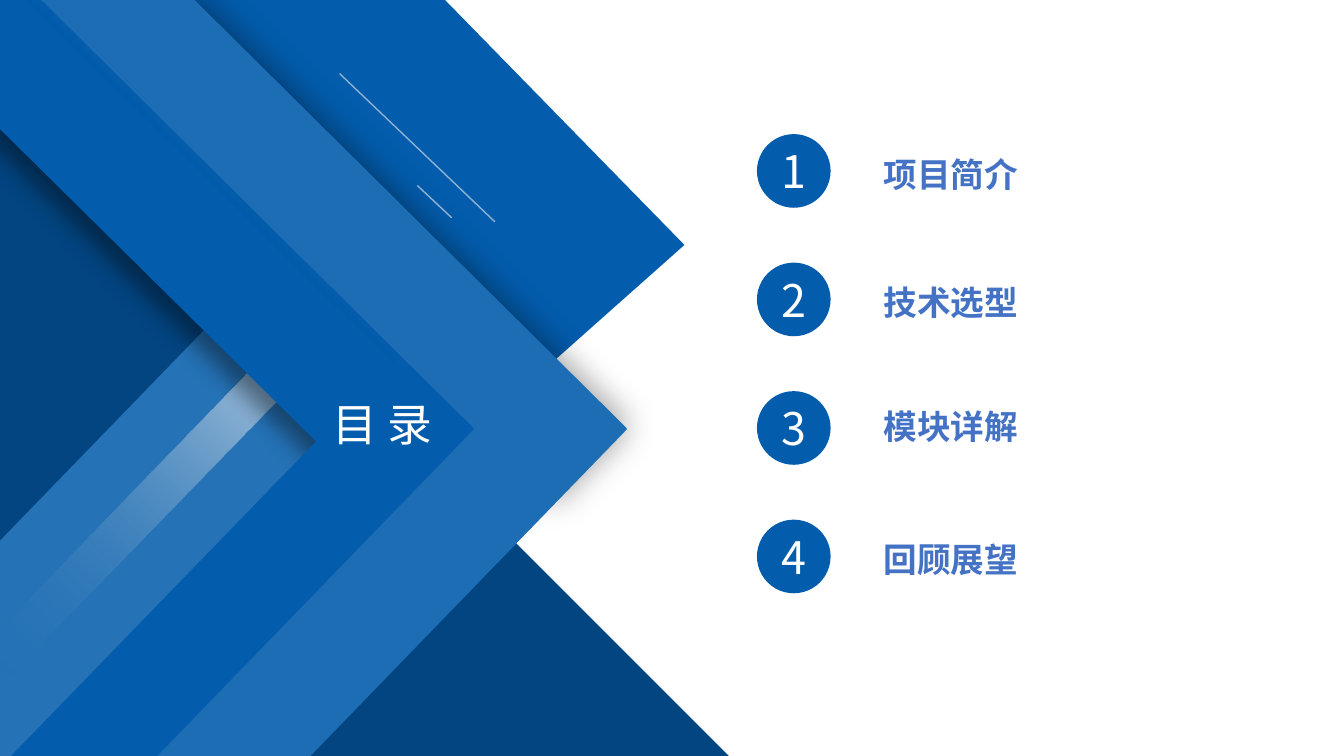
from dataclasses import dataclass
from typing import NamedTuple, Optional

from lxml.etree import SubElement
from pptx import Presentation
from pptx.dml.color import RGBColor
from pptx.enum.shapes import MSO_CONNECTOR, MSO_SHAPE
from pptx.enum.text import MSO_ANCHOR, MSO_AUTO_SIZE, PP_ALIGN
from pptx.oxml.ns import qn
from pptx.shapes.autoshape import Shape
from pptx.slide import Slide
from pptx.text.text import TextFrame
from pptx.util import Pt


@dataclass(frozen=True)
class Theme:
    font: str = "Noto Sans CJK SC"
    navy: str = "034581"
    blue: str = "035CAC"
    mid_blue: str = "1D6DB4"
    soft_blue: str = "2572B6"
    pale_blue: str = "8EB3D3"
    label: str = "4472C4"
    white: str = "FFFFFF"
    shadow: str = "000000"
    large: float = 32
    medium: float = 24


THEME = Theme()


class Shadow(NamedTuple):
    blur: float
    distance: float
    angle: float


class Triangle(NamedTuple):
    left: float
    top: float
    rotation: float = 0


class Band(NamedTuple):
    corners: list[tuple[float, float]]
    color: str
    shadow: Optional[Shadow] = None


class Line(NamedTuple):
    start: tuple[float, float]
    end: tuple[float, float]


class Entry(NamedTuple):
    label: str
    label_top: float


TRIANGLE_WIDTH, TRIANGLE_HEIGHT = 453.6, 226.8
LOWER_TRIANGLE = Triangle(67, 313.2)
LEFT_TRIANGLE = Triangle(-142.6, 159.1, 90)
UPPER_BAND = Band([(75.6, -1.4), (270, -49), (488.9, 175), (365, 285.1)], THEME.blue)
SOFT_BAND = Band([(168.5, 212.4), (251.3, 292.3), (-13, 565.2), (-146.2, 537.1)], THEME.soft_blue)
GLOW_BAND = Band([(223.2, 218.2), (244.8, 238.3), (-20.2, 511.2), (-91.4, 542.9)], THEME.pale_blue)
CHEVRON_BANDS = [
    Band([(28.1, 0), (139, 0), (447.8, 306), (393.1, 361.4)], THEME.mid_blue, Shadow(25, 2, 315)),
    Band([(391, 252), (447.8, 306.7), (221.8, 540), (111.6, 540)], THEME.mid_blue),
    Band([(-82.1, 0), (29.5, 0), (338.4, 306), (283, 361.4)], THEME.blue),
    Band([(-122.4, -28.8), (-10.8, -28.8), (298.1, 276.5), (242.6, 331.9)], THEME.blue,
         Shadow(16, 12, 124)),
    Band([(284.4, 254.9), (338.4, 306.7), (112.3, 540), (7.9, 540)], THEME.blue),
]
ACCENT_LINES = [Line((298.1, 132.5), (322.6, 155.5)), Line((242.6, 52.6), (353.5, 158.4))]
ENTRIES = [Entry("项目简介", 106.6), Entry("技术选型", 198), Entry("模块详解", 286.6), Entry("回顾展望", 381.6)]
BADGE_LEFT, BADGE_TOP, BADGE_SIZE, BADGE_STEP = 540.7, 95.8, 52.6, 91.8
LABEL_LEFT, LABEL_WIDTH, LABEL_HEIGHT = 624.2, 228.2, 36


def write_text(frame: TextFrame, text: str, *, size: float, color: str, bold: bool = False,
               align: PP_ALIGN = PP_ALIGN.LEFT, anchor: MSO_ANCHOR = MSO_ANCHOR.TOP,
               wrap: bool = False) -> None:
    frame.word_wrap = wrap
    frame.auto_size = MSO_AUTO_SIZE.NONE
    frame.vertical_anchor = anchor
    paragraph = frame.paragraphs[0]
    paragraph.alignment = align
    paragraph.line_spacing = 1.0
    run = paragraph.add_run()
    run.text = text
    run.font.size = Pt(size)
    run.font.bold = bold
    run.font.name = THEME.font
    run.font.color.rgb = RGBColor.from_string(color)
    SubElement(run.font._element, qn("a:ea"), typeface=THEME.font)


def paint(shape: Shape, color: str) -> None:
    """Give a shape a plain fill without outline or shadow."""
    shape.fill.solid()
    shape.fill.fore_color.rgb = RGBColor.from_string(color)
    shape.line.fill.background()
    shape.shadow.inherit = False


def add_alpha(color_element, percent: float) -> None:
    SubElement(color_element, qn("a:alpha"), val=str(percent * 1000))


def cast_shadow(shape: Shape, shadow: Shadow) -> None:
    effects = shape.element.spPr.find(qn("a:effectLst"))
    outer = SubElement(effects, qn("a:outerShdw"), blurRad=str(Pt(shadow.blur)),
                       dist=str(Pt(shadow.distance)), dir=str(shadow.angle * 60000),
                       algn="ctr", rotWithShape="0")
    add_alpha(SubElement(outer, qn("a:srgbClr"), val=THEME.shadow), 40)


def add_triangle(slide: Slide, triangle: Triangle) -> None:
    shape = slide.shapes.add_shape(MSO_SHAPE.ISOSCELES_TRIANGLE, Pt(triangle.left), Pt(triangle.top),
                                   Pt(TRIANGLE_WIDTH), Pt(TRIANGLE_HEIGHT))
    shape.rotation = triangle.rotation
    paint(shape, THEME.navy)


def add_band(slide: Slide, band: Band) -> Shape:
    first, *others = [(Pt(x), Pt(y)) for x, y in band.corners]
    builder = slide.shapes.build_freeform(*first)
    builder.add_line_segments(others, close=True)
    shape = builder.convert_to_shape()
    paint(shape, band.color)
    if band.shadow:
        cast_shadow(shape, band.shadow)
    return shape


def fade_band(shape: Shape) -> None:
    """Let a band brighten from clear at lower left to pale at upper right."""
    shape.fill.gradient()
    shape.fill.gradient_angle = 45
    stops = [(0.23, THEME.soft_blue, 0), (0.77, THEME.pale_blue, 90)]
    for stop, (position, color, _) in zip(shape.fill.gradient_stops, stops):
        stop.position = position
        stop.color.rgb = RGBColor.from_string(color)
    for color_element, (_, _, opacity) in zip(shape.element.spPr.iter(qn("a:srgbClr")), stops):
        add_alpha(color_element, opacity)


def add_accent_line(slide: Slide, line: Line) -> None:
    connector = slide.shapes.add_connector(MSO_CONNECTOR.STRAIGHT, *map(Pt, line.start + line.end))
    connector.line.color.rgb = RGBColor.from_string(THEME.pale_blue)
    connector.line.width = Pt(1)
    SubElement(connector.element.spPr, qn("a:effectLst"))


def add_entry(slide: Slide, number: int, entry: Entry) -> None:
    badge_top = BADGE_TOP + (number - 1) * BADGE_STEP
    badge = slide.shapes.add_shape(MSO_SHAPE.ROUNDED_RECTANGLE, Pt(BADGE_LEFT), Pt(badge_top),
                                   Pt(BADGE_SIZE), Pt(BADGE_SIZE))
    badge.adjustments[0] = 0.5
    paint(badge, THEME.blue)
    write_text(badge.text_frame, str(number), size=THEME.large, color=THEME.white,
               align=PP_ALIGN.CENTER, anchor=MSO_ANCHOR.MIDDLE)
    label = slide.shapes.add_textbox(Pt(LABEL_LEFT), Pt(entry.label_top), Pt(LABEL_WIDTH), Pt(LABEL_HEIGHT))
    write_text(label.text_frame, entry.label, size=THEME.medium, color=THEME.label, bold=True, wrap=True)


def place_title(slide: Slide) -> None:
    title = slide.shapes.title
    title.left, title.top, title.width, title.height = Pt(230.4), Pt(280.1), Pt(85.7), Pt(46.1)
    write_text(title.text_frame, "目 录", size=THEME.large, color=THEME.white)
    slide.shapes.element.append(title.element)  # bring in front of the bands


def main() -> None:
    presentation = Presentation()
    presentation.slide_width, presentation.slide_height = Pt(960), Pt(540)
    slide = presentation.slides.add_slide(presentation.slide_layouts[5])
    add_triangle(slide, LOWER_TRIANGLE)
    add_band(slide, UPPER_BAND)
    add_triangle(slide, LEFT_TRIANGLE)
    add_band(slide, SOFT_BAND)
    fade_band(add_band(slide, GLOW_BAND))
    for band in CHEVRON_BANDS:
        add_band(slide, band)
    place_title(slide)
    for line in ACCENT_LINES:
        add_accent_line(slide, line)
    for number, entry in enumerate(ENTRIES, start=1):
        add_entry(slide, number, entry)
    presentation.save("out.pptx")


if __name__ == "__main__":
    main()
